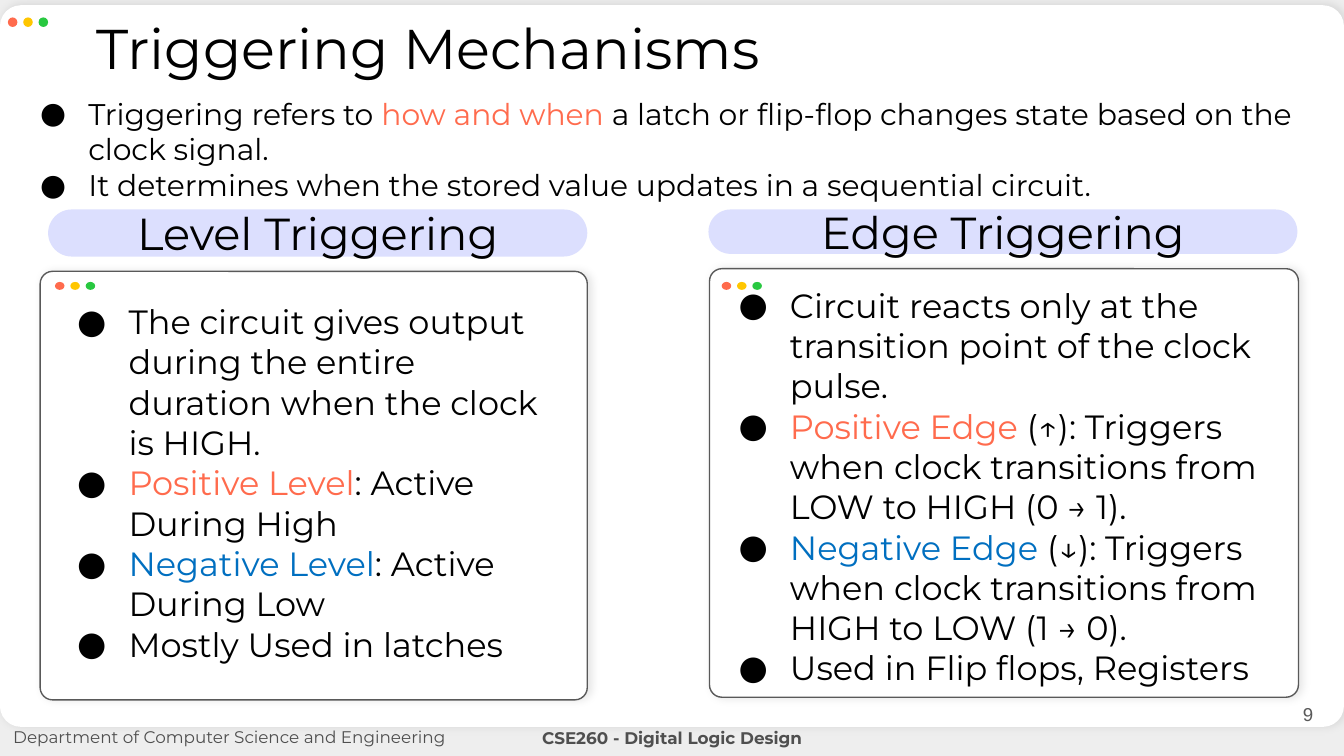
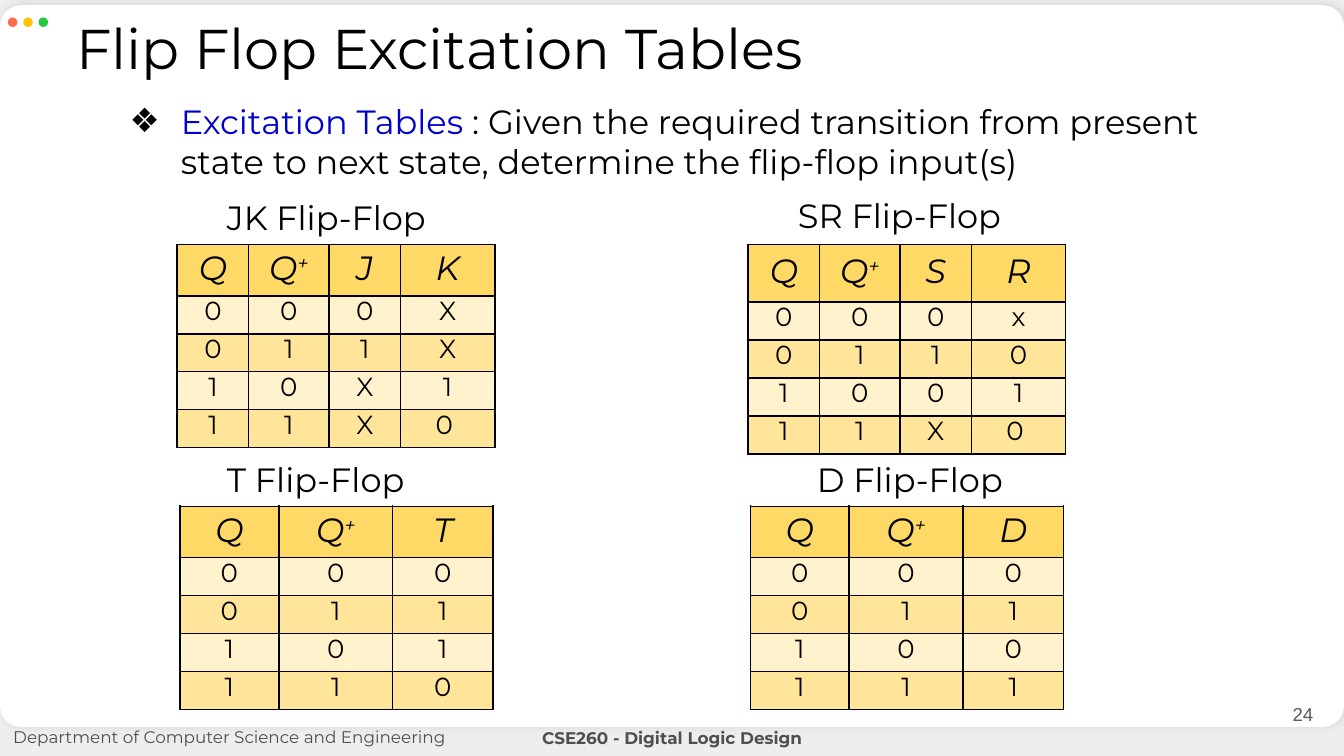
from typing import NamedTuple

from lxml.etree import SubElement
from pptx import Presentation
from pptx.dml.color import RGBColor
from pptx.enum.shapes import MSO_SHAPE
from pptx.enum.text import MSO_ANCHOR, PP_ALIGN
from pptx.oxml.ns import qn
from pptx.util import Cm, Pt

BLACK = RGBColor(0x00, 0x00, 0x00)
WHITE = RGBColor(0xFF, 0xFF, 0xFF)
BACKDROP = RGBColor(0xEE, 0xEE, 0xEE)
GRAY = RGBColor(0x59, 0x59, 0x59)
FOOTER_GRAY = RGBColor(0x4F, 0x4F, 0x4F)
CORAL = RGBColor(0xFF, 0x6B, 0x4D)
YELLOW = RGBColor(0xFF, 0xC6, 0x00)
GREEN = RGBColor(0x28, 0xC8, 0x40)
BLUE = RGBColor(0x00, 0x6F, 0xC0)
DEEP_BLUE = RGBColor(0x00, 0x00, 0xCC)
LAVENDER = RGBColor(0xDC, 0xDF, 0xFE)
HEADER_GOLD = RGBColor(0xFF, 0xD9, 0x66)
ROW_FILLS = [RGBColor(0xFF, 0xF2, 0xCC), RGBColor(0xFF, 0xE5, 0x99)]

FONT = "Montserrat"
INSET = 0.25
CELL_INSET = 0.18
HANG = 1.27
CORNER = 0.029
ROW_HEIGHT = 0.71


class Box(NamedTuple):
    """Hold a rectangle in centimetres."""

    left: float
    top: float
    width: float
    height: float

    def inside(self, right, down, width, height):
        """Return a box offset from this one."""
        return Box(self.left + right, self.top + down, width, height)

    def lengths(self):
        """Return the four values as slide lengths."""
        return [Cm(value) for value in self]


PANEL = Box(0, 0.1, 25.4, 13.64)


def set_attributes(target, values):
    """Set each named value on the target."""
    for name, value in values.items():
        setattr(target, name, value)


def add_run(paragraph, text, size, color=BLACK, bold=False, italic=False, font=FONT):
    """Add one formatted run."""
    run = paragraph.add_run()
    run.text = text
    set_attributes(run.font, {"name": font, "size": Pt(size), "bold": bold, "italic": italic})
    run.font.color.rgb = color
    return run


def set_frame(frame, anchor=MSO_ANCHOR.TOP):
    """Give a text frame its insets, wrapping and anchor."""
    margins = {f"margin_{side}": Cm(INSET) for side in ("left", "right", "top", "bottom")}
    set_attributes(frame, {"word_wrap": True, "vertical_anchor": anchor, **margins})


def add_text(slide, box, text, size, color=BLACK, align=PP_ALIGN.LEFT,
             anchor=MSO_ANCHOR.TOP, **style):
    """Add a text box with one line of text."""
    frame = slide.shapes.add_textbox(*box.lengths()).text_frame
    set_frame(frame, anchor)
    paragraph = frame.paragraphs[0]
    paragraph.alignment = align
    add_run(paragraph, text, size, color, **style)


def add_bullets(slide, box, items, size, character="●", hang=0.97):
    """Add a bulleted list whose items are lists of (text, color) pieces."""
    frame = slide.shapes.add_textbox(*box.lengths()).text_frame
    set_frame(frame)
    for index, pieces in enumerate(items):
        paragraph = frame.add_paragraph() if index else frame.paragraphs[0]
        properties = paragraph._p.get_or_add_pPr()
        properties.set("marL", str(Cm(HANG)))
        properties.set("indent", str(-Cm(hang)))
        bullet_color = SubElement(properties, qn("a:buClr"))
        SubElement(bullet_color, qn("a:srgbClr"), val=str(BLACK))
        SubElement(properties, qn("a:buFont"), typeface=FONT)
        SubElement(properties, qn("a:buChar"), char=character)
        for text, color in pieces:
            add_run(paragraph, text, size, color)


def add_filled(shapes, kind, box, fill, line=None, corner=None):
    """Add a plain filled shape."""
    shape = shapes.add_shape(kind, *box.lengths())
    shape.shadow.inherit = False
    shape.fill.solid()
    shape.fill.fore_color.rgb = fill
    if line is None:
        shape.line.fill.background()
    else:
        shape.line.color.rgb = line
        shape.line.width = Pt(0.75)
    if corner is not None:
        shape.adjustments[0] = corner
    return shape


def add_window(slide, box, line=None):
    """Add a white rounded window with a soft shadow."""
    shape = add_filled(slide.shapes, MSO_SHAPE.ROUNDED_RECTANGLE, box, WHITE, line, CORNER)
    effects = shape._element.spPr.find(qn("a:effectLst"))
    shadow = SubElement(effects, qn("a:outerShdw"), blurRad=str(Pt(4.5)),
                        dist=str(Pt(1.5)), dir="0", rotWithShape="0")
    color = SubElement(shadow, qn("a:srgbClr"), val=str(BLACK))
    SubElement(color, qn("a:alpha"), val="9000")


def add_window_dots(slide, box, pitch):
    """Add the three window buttons, the first filling the given box."""
    group = slide.shapes.add_group_shape()
    for index, color in enumerate([CORAL, YELLOW, GREEN]):
        dot = box.inside(index * pitch, 0, box.width, box.height)
        add_filled(group.shapes, MSO_SHAPE.OVAL, dot, color)


def add_frame(presentation, title, title_left, number):
    """Add a slide with its window, title, footers and page number."""
    slide = presentation.slides.add_slide(presentation.slide_layouts[6])
    slide.background.fill.solid()
    slide.background.fill.fore_color.rgb = BACKDROP
    add_window(slide, PANEL)
    add_text(slide, PANEL.inside(23.55, 12.85, 1.52, 1.09), number, 10, GRAY,
             PP_ALIGN.RIGHT, MSO_ANCHOR.MIDDLE, font="Arial")
    add_window_dots(slide, PANEL.inside(0.15, 0.23, 0.18, 0.18), 0.29)
    add_text(slide, PANEL.inside(title_left, -0.1, 22.45, 1.8), title, 30)
    add_text(slide, PANEL.inside(0, 13.44, 14.07, 0.94),
             "Department of Computer Science and Engineering", 9, FOOTER_GRAY)
    add_text(slide, PANEL.inside(8.18, 13.46, 9.04, 0.89),
             "CSE260 - Digital Logic Design", 9, FOOTER_GRAY, PP_ALIGN.CENTER, bold=True)
    return slide


def add_card(slide, box, heading, pill, dots, body, items):
    """Add a window card with a heading pill above and bullets within."""
    add_window(slide, box, GRAY)
    add_window_dots(slide, dots, 0.29)
    add_bullets(slide, body, items, 18)
    shape = add_filled(slide.shapes, MSO_SHAPE.ROUNDED_RECTANGLE, pill, LAVENDER, corner=0.5)
    set_frame(shape.text_frame, MSO_ANCHOR.MIDDLE)
    paragraph = shape.text_frame.paragraphs[0]
    paragraph.alignment = PP_ALIGN.CENTER
    add_run(paragraph, heading, 24)


def format_cell(cell, fill, anchor):
    """Give a cell its borders, fill, insets and anchor."""
    properties = cell._tc.get_or_add_tcPr()
    for side in ("lnL", "lnR", "lnT", "lnB"):
        border = SubElement(properties, qn(f"a:{side}"), w=str(Pt(1)))
        SubElement(SubElement(border, qn("a:solidFill")), qn("a:srgbClr"), val=str(BLACK))
    cell.fill.solid()
    cell.fill.fore_color.rgb = fill
    margins = {f"margin_{side}": Cm(CELL_INSET) for side in ("left", "right", "top", "bottom")}
    set_attributes(cell, {"vertical_anchor": anchor, **margins})


def add_excitation_table(slide, left, top, name, name_offset, widths, rows, header_height=0.95,
                         header_anchor=MSO_ANCHOR.TOP, row_anchor=MSO_ANCHOR.TOP):
    """Add a named excitation table; the first row is the header."""
    box = Box(left, top, sum(widths), header_height + ROW_HEIGHT * (len(rows) - 1))
    add_text(slide, box.inside(*name_offset, 4.6, 1.09), name, 18)
    table = slide.shapes.add_table(len(rows), len(widths), *box.lengths()).table
    table.horz_banding = False
    for column, width in zip(table.columns, widths):
        column.width = Cm(width)
    for row_index, texts in enumerate(rows):
        header = row_index == 0
        table.rows[row_index].height = Cm(header_height if header else ROW_HEIGHT)
        fill = HEADER_GOLD if header else ROW_FILLS[(row_index - 1) % 2]
        for column_index, text in enumerate(texts.split(",")):
            cell = table.cell(row_index, column_index)
            format_cell(cell, fill, header_anchor if header else row_anchor)
            paragraph = cell.text_frame.paragraphs[0]
            set_attributes(paragraph, {"alignment": PP_ALIGN.CENTER,
                                       "line_spacing": 0.8 if header else 0.6})
            size = 18 if header else 14
            add_run(paragraph, text.rstrip("+"), size, italic=header)
            if text.endswith("+"):
                plus = add_run(paragraph, "+", size, italic=header)
                plus._r.get_or_add_rPr().set("baseline", "30000")


def build_triggering(presentation):
    """Build the slide that compares level and edge triggering."""
    slide = add_frame(presentation, "Triggering Mechanisms", 1.57, "9")
    add_bullets(slide, Box(0.15, 1.55, 25.25, 2.57), [
        [("Triggering refers to ", BLACK), ("how and when", CORAL),
         (" a latch or flip-flop changes state based on the clock signal.", BLACK)],
        [("It determines when the stored value updates in a sequential circuit.", BLACK)],
    ], 16, hang=0.91)
    level = Box(0.76, 5.13, 10.34, 8.1)
    add_card(slide, level, "Level Triggering", level.inside(0.15, -1.17, 10.19, 0.89),
             level.inside(0.28, 0.2, 0.18, 0.15), level.inside(0.15, 0.31, 10, 7.39), [
        [("The circuit gives output during the entire duration when the clock is HIGH.", BLACK)],
        [("Positive Level", CORAL), (": Active During High", BLACK)],
        [("Negative Level", BLUE), (": Active During Low", BLACK)],
        [("Mostly Used in latches", BLACK)],
    ])
    edge = Box(13.41, 5.08, 11.13, 8.1)
    add_card(slide, edge, "Edge Triggering", edge.inside(-0.02, -1.12, 11.13, 0.84),
             edge.inside(0.23, 0.25, 0.18, 0.15), edge.inside(0, 0.05, 10.77, 7.29), [
        [("Circuit reacts only at the transition point of the clock pulse.", BLACK)],
        [("Positive Edge", CORAL),
         (" (↑): Triggers when clock transitions from LOW to HIGH (0 → 1).", BLACK)],
        [("Negative Edge", BLUE),
         (" (↓): Triggers when clock transitions from HIGH to LOW (1 → 0).", BLACK)],
        [("Used in Flip flops, Registers", BLACK)],
    ])


def build_excitation(presentation):
    """Build the slide with the four excitation tables."""
    slide = add_frame(presentation, "Flip Flop Excitation Tables", 1.19, "24")
    add_bullets(slide, Box(1.9, 1.65, 21.56, 1.8), [
        [("Excitation Tables ", DEEP_BLUE),
         (": Given the required transition from present state to next state, "
          "determine the flip-flop input(s)", BLACK)],
    ], 18, "❖")
    upper, lower = 4.62, 9.57
    four_columns = [1.35, 1.52, 1.35, 1.78]
    three_columns = [1.87, 2.15, 1.9]
    add_excitation_table(slide, 3.35, upper, "JK Flip-Flop", (0.69, -1.14), four_columns,
                         ["Q,Q+,J,K", "0,0,0,X", "0,1,1,X", "1,0,X,1", "1,1,X,0 "],
                         row_anchor=MSO_ANCHOR.MIDDLE)
    add_excitation_table(slide, 14.14, upper, "SR Flip-Flop", (0.69, -1.19), four_columns,
                         ["Q,Q+,S,R", "0,0,0,x", "0,1,1,0", "1,0,0,1", "1,1,X,0 "],
                         header_height=1.09, header_anchor=MSO_ANCHOR.MIDDLE)
    add_excitation_table(slide, 3.4, lower, "T Flip-Flop", (0.64, -1.14), three_columns,
                         ["Q,Q+,T", "0,0,0", "0,1,1", "1,0,1", "1,1,0"])
    add_excitation_table(slide, 14.18, lower, "D Flip-Flop", (1.01, -1.14), three_columns,
                         ["Q,Q+,D", "0,0,0", "0,1,1", "1,0,0", "1,1,1"])


def main():
    """Build and save the presentation."""
    presentation = Presentation()
    set_attributes(presentation, {"slide_width": Cm(25.4), "slide_height": Cm(14.29)})
    build_triggering(presentation)
    build_excitation(presentation)
    presentation.save("out.pptx")


if __name__ == "__main__":
    main()
